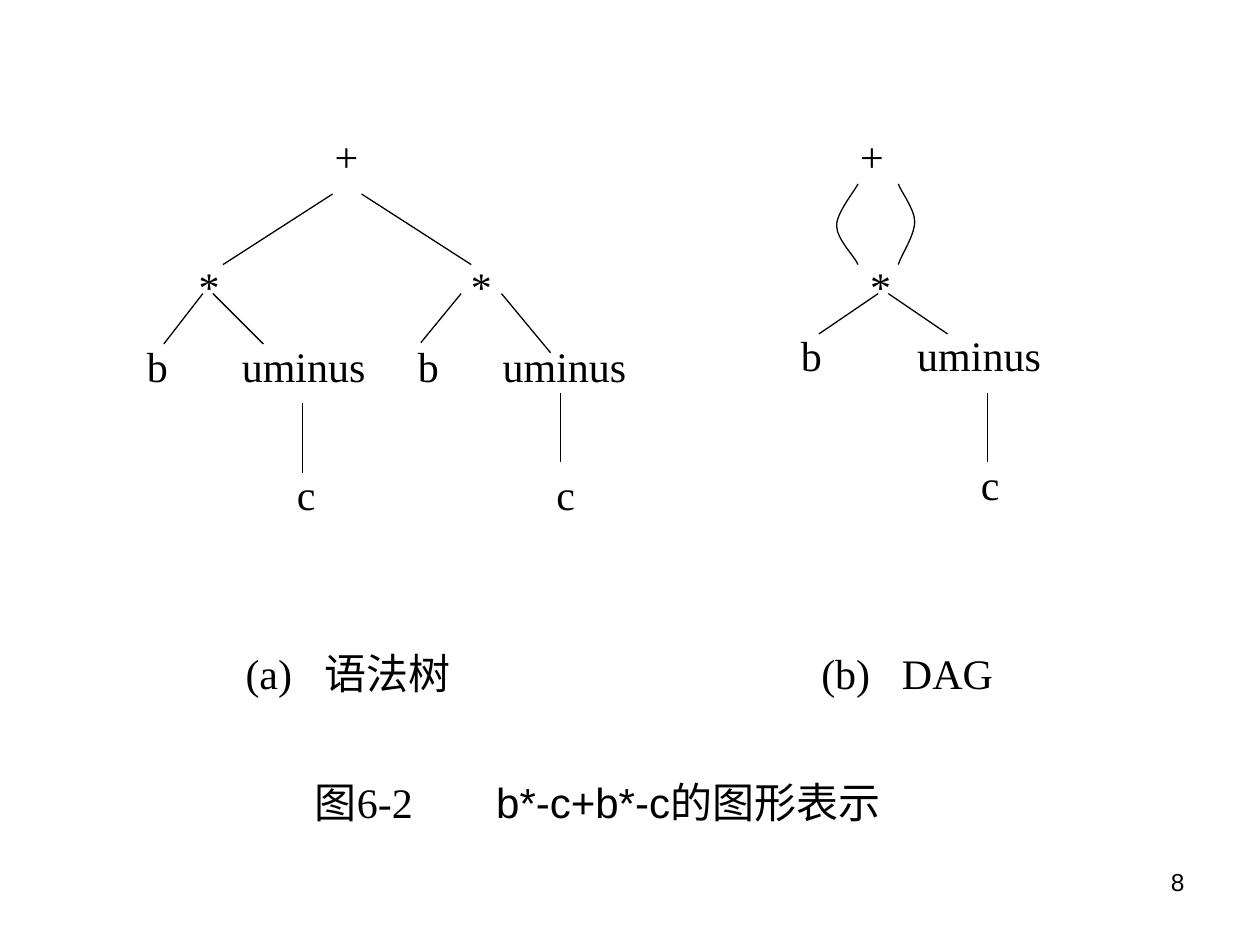
from dataclasses import dataclass

from lxml import etree
from pptx import Presentation
from pptx.dml.color import RGBColor
from pptx.enum import shapes, text
from pptx.oxml.ns import qn
from pptx.util import Inches, Pt


@dataclass(frozen=True)
class Theme:
    """Colours, fonts and sizes of the slide."""
    ink: RGBColor = RGBColor(0, 0, 0)
    serif: str = "Times New Roman"
    sans: str = "Arial"
    body: Pt = Pt(24)
    number: Pt = Pt(14)
    line: Pt = Pt(0.75)


T = Theme()


def add_text(slide, x, y, w, runs, size=T.body, align=text.PP_ALIGN.LEFT, tab=None):
    """Add a one-line text box from (words, font) pairs, with an optional tab stop."""
    tf = slide.shapes.add_textbox(Inches(x), Inches(y), Inches(w), Inches(0.5)).text_frame
    tf.word_wrap = True
    p = tf.paragraphs[0]
    p.alignment = align
    if tab:
        tabs = etree.SubElement(p._p.get_or_add_pPr(), qn("a:tabLst"))
        etree.SubElement(tabs, qn("a:tab"), pos=str(Inches(tab)), algn="l")
    p.font.size = size
    p.font.color.rgb = T.ink
    for words, font in runs:
        r = p.add_run()
        r.text = words
        r.font.name = font


def add_nodes(slide, x, y, nodes):
    """Centre each node label on its place relative to the box."""
    width = 1.4
    for label, cx, top in nodes:
        add_text(slide, x + cx - width / 2, y + top, width, [(label, T.serif)],
                 align=text.PP_ALIGN.CENTER)


def add_edges(slide, x, y, edges):
    """Draw straight edges relative to the box."""
    for x1, y1, x2, y2 in edges:
        line = slide.shapes.add_connector(
            shapes.MSO_CONNECTOR.STRAIGHT,
            Inches(x + x1), Inches(y + y1), Inches(x + x2), Inches(y + y2))
        line.line.color.rgb = T.ink
        line.line.width = T.line
        etree.SubElement(line._element.spPr, qn("a:effectLst"))


def add_curve(slide, x, y, points):
    """Draw a chain of cubic curves: a start, then three points for each curve."""
    start, *rest = [(Inches(x + px), Inches(y + py)) for px, py in points]
    builder = slide.shapes.build_freeform(*start)
    builder.add_line_segments(rest, close=False)
    sp = builder.convert_to_shape()
    sp.shadow.inherit = False
    sp.fill.background()
    sp.line.color.rgb = T.ink
    sp.line.width = T.line
    outline = next(sp._element.iter(qn("a:path")))
    segments = outline.findall(qn("a:lnTo"))
    for i in range(0, len(segments), 3):
        curve = etree.SubElement(outline, qn("a:cubicBezTo"))
        for segment in segments[i:i + 3]:
            curve.append(segment[0])
            outline.remove(segment)


def add_syntax_tree(slide, x, y):
    """Draw the syntax tree and its caption."""
    add_nodes(slide, x, y, [
        ("+", 1.75, 0), ("*", 0.66, 1.03), ("*", 2.82, 1.03),
        ("b", 0.25, 1.66), ("uminus", 1.41, 1.66),
        ("b", 2.4, 1.66), ("uminus", 3.48, 1.66),
        ("c", 1.43, 2.68), ("c", 3.49, 2.68)])
    add_edges(slide, x, y, [
        (1.64, 0.55, 0.77, 1.11), (1.87, 0.55, 2.74, 1.11),
        (0.61, 1.34, 0.3, 1.74), (0.69, 1.34, 1.09, 1.74),
        (2.66, 1.34, 2.34, 1.73), (2.98, 1.34, 3.37, 1.81),
        (1.4, 2.21, 1.4, 2.76), (3.45, 2.13, 3.45, 2.68)])
    add_text(slide, x + 0.85, y + 4.1, 2.52, [("(a)\t语法树", T.serif)], tab=0.63)


def add_dag(slide, x, y):
    """Draw the directed acyclic graph and its caption."""
    add_nodes(slide, x, y, [
        ("+", 0.92, 0), ("*", 0.99, 1.03),
        ("b", 0.44, 1.58), ("uminus", 1.77, 1.58), ("c", 1.86, 2.6)])
    add_edges(slide, x, y, [
        (0.97, 1.34, 0.5, 1.66), (1.05, 1.34, 1.52, 1.66),
        (1.84, 2.13, 1.84, 2.68)])
    add_curve(slide, x, y, [(0.81, 0.47), (0.78, 0.53), (0.64, 0.7), (0.64, 0.8),
                            (0.64, 0.91), (0.78, 1.04), (0.81, 1.11)])
    add_curve(slide, x, y, [(1.13, 0.47), (1.15, 0.53), (1.26, 0.67), (1.26, 0.77),
                            (1.26, 0.88), (1.15, 1.04), (1.13, 1.11)])
    add_text(slide, x + 0.42, y + 4.1, 2.13, [("(b)\tDAG", T.serif)], tab=0.64)


def add_footer(slide, x, y):
    """Add the figure title and the page number."""
    add_text(slide, x, y, 5.36, [("图6-2\t", T.serif), ("b*-c+b*-c的", T.sans),
                                 ("图形表示", T.serif)], tab=1.44)
    add_text(slide, x + 4.77, y + 0.72, 2.33, [("8", T.sans)], T.number,
             text.PP_ALIGN.RIGHT)


def main():
    """Build and save the slide."""
    prs = Presentation()
    prs.slide_width, prs.slide_height = Inches(10), Inches(7.5)
    slide = prs.slides.add_slide(prs.slide_layouts[6])
    add_syntax_tree(slide, 1, 0.99)
    add_dag(slide, 6, 0.99)
    add_footer(slide, 2.4, 6.11)
    prs.save("out.pptx")


if __name__ == "__main__":
    main()
